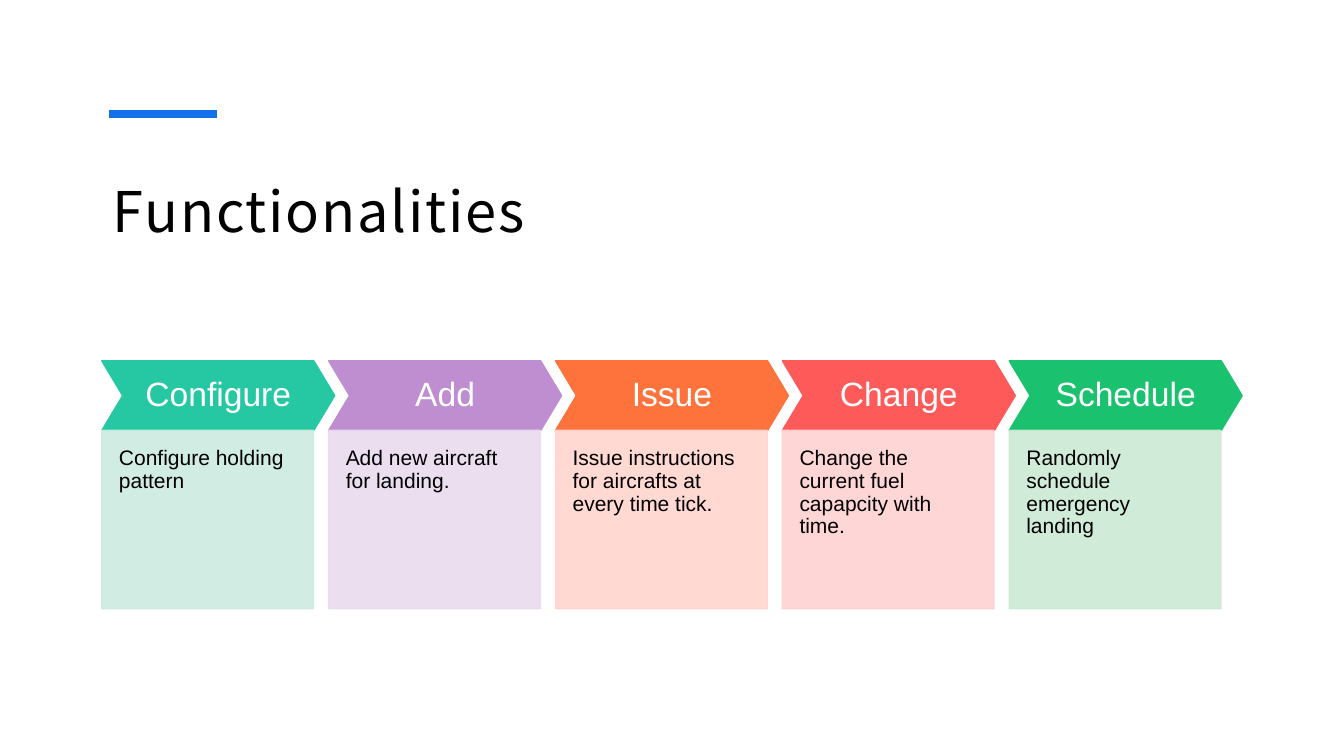
from lxml.etree import SubElement
from pptx import Presentation
from pptx.dml.color import RGBColor
from pptx.enum.shapes import MSO_CONNECTOR, MSO_SHAPE
from pptx.enum.text import MSO_ANCHOR, PP_ALIGN
from pptx.oxml.ns import qn
from pptx.util import Inches, Pt

STEPS = [
    ("Configure", "Configure holding pattern", "25C8A2", "CDEBE0"),
    ("Add", "Add new aircraft for landing.", "BF8ED1", "E8DBEE"),
    ("Issue", "Issue instructions for aircrafts at every time tick.", "FE733C", "FFD5CE"),
    ("Change", "Change the current fuel capapcity with time.", "FE5A5A", "FFD2D2"),
    ("Schedule", "Randomly schedule emergency landing", "1AC16E", "CDE9D5"),
]
STEP_PITCH = 2.25


def rgb(color):
    return RGBColor.from_string(color)


def write_text(shape, text, size, color, font="Arial", align=PP_ALIGN.LEFT,
               anchor=MSO_ANCHOR.TOP, line_spacing=0.9, character_spacing=0,
               margins=(0.09, 0.09, 0.09, 0.09)):
    """Fill a shape with one paragraph; margins are left, top, right, bottom."""
    frame = shape.text_frame
    frame.word_wrap = True
    frame.vertical_anchor = anchor
    (frame.margin_left, frame.margin_top,
     frame.margin_right, frame.margin_bottom) = map(Inches, margins)
    paragraph = frame.paragraphs[0]
    paragraph.alignment = align
    paragraph.line_spacing = line_spacing
    run = paragraph.add_run()
    run.text = text
    run.font.size = Pt(size)
    run.font.name = font
    run.font.color.rgb = rgb(color)
    properties = run.font._element
    SubElement(properties, qn("a:ea")).set("typeface", font)
    if character_spacing:
        properties.set("spc", str(round(character_spacing * 100)))


def add_block(slide, kind, left, top, width, height, color, opacity=100):
    shape = slide.shapes.add_shape(
        kind, Inches(left), Inches(top), Inches(width), Inches(height))
    shape.shadow.inherit = False
    shape.fill.solid()
    shape.fill.fore_color.rgb = rgb(color)
    shape.line.color.rgb = rgb(color)
    shape.line.width = Pt(1)
    if opacity < 100:
        for color_element in shape._element.spPr.iter(qn("a:srgbClr")):
            SubElement(color_element, qn("a:alpha")).set("val", str(opacity * 1000))
    return shape


def add_heading(slide, left, top, width, height):
    """Place the title with its accent bar above it."""
    title = slide.shapes.add_textbox(
        Inches(left), Inches(top), Inches(width), Inches(height))
    write_text(title, "Functionalities", 40, "000000", font="Noto Sans CJK JP",
               line_spacing=1.2, character_spacing=1.3,
               margins=(0.12, 0.12, 0.12, 0.1))
    bar_left, bar_top = left + 0.08, top - 0.37
    bar = slide.shapes.add_connector(
        MSO_CONNECTOR.STRAIGHT, Inches(bar_left), Inches(bar_top),
        Inches(bar_left + 1.07), Inches(bar_top))
    bar.line.color.rgb = rgb("1370EB")
    bar.line.width = Pt(6)
    SubElement(bar._element.spPr, qn("a:effectLst"))


def add_step(slide, left, top, name, description, strong, pale):
    """Place a chevron header with its description panel below."""
    header_height = 0.69
    header = add_block(slide, MSO_SHAPE.CHEVRON, left, top, 2.31, header_height, strong)
    header.adjustments[0] = 0.3
    write_text(header, name, 24, "FFFFFF", align=PP_ALIGN.CENTER,
               anchor=MSO_ANCHOR.MIDDLE)
    panel = add_block(slide, MSO_SHAPE.RECTANGLE, left, top + header_height,
                      2.1, 1.77, pale, opacity=90)
    write_text(panel, description, 15, "000000", margins=(0.17, 0.17, 0.17, 0.33))


def add_process(slide, left, top):
    for index, step in enumerate(STEPS):
        add_step(slide, left + index * STEP_PITCH, top, *step)


def main():
    presentation = Presentation()
    presentation.slide_width = Inches(13.33)
    presentation.slide_height = Inches(7.5)
    slide = presentation.slides.add_slide(presentation.slide_layouts[6])
    add_heading(slide, 1, 1.5, 11.33, 1.44)
    add_process(slide, 1.01, 3.58)
    presentation.save("out.pptx")


if __name__ == "__main__":
    main()
